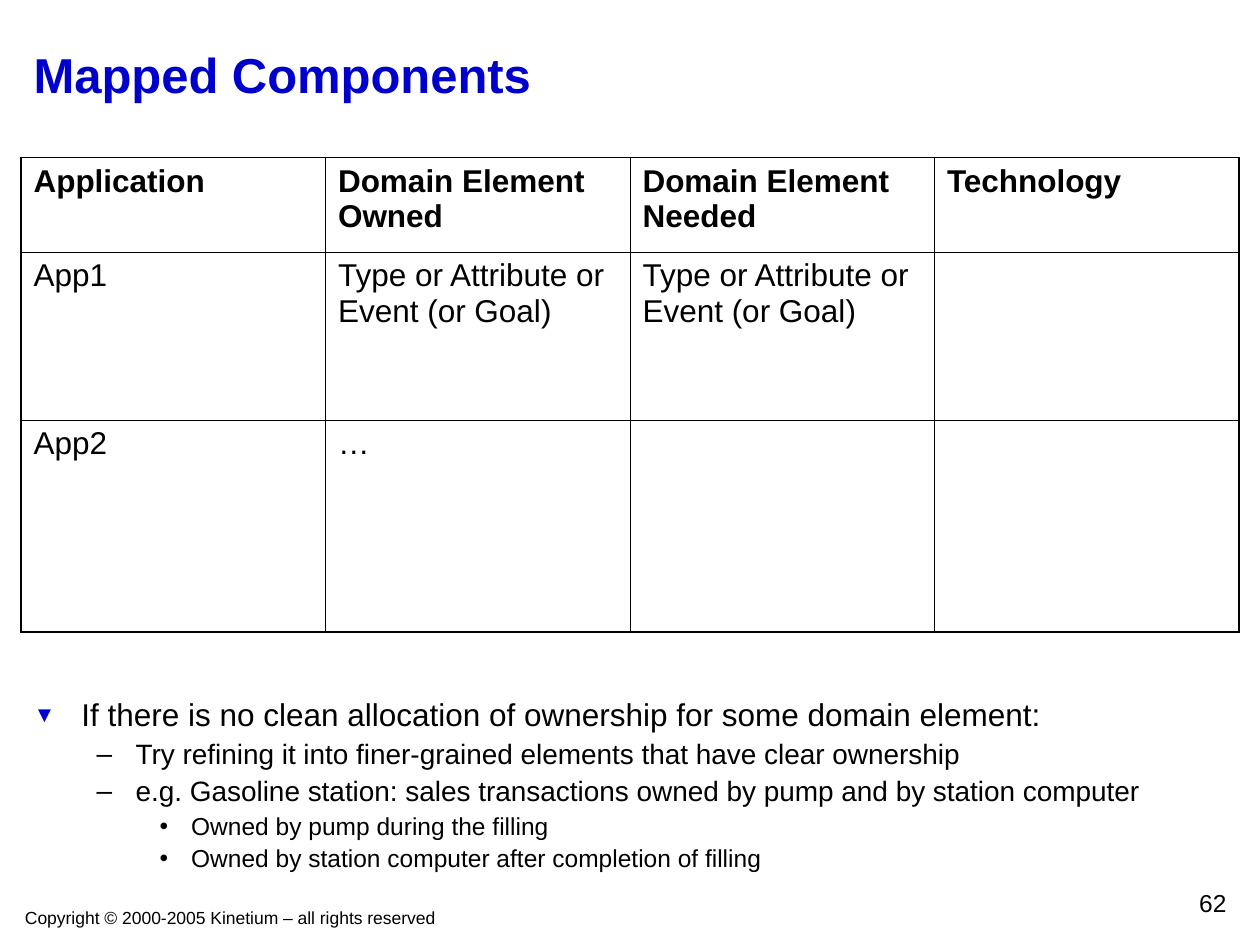
from dataclasses import dataclass

from lxml import etree
from pptx import Presentation
from pptx.dml.color import RGBColor
from pptx.enum.text import MSO_ANCHOR, MSO_AUTO_SIZE, PP_ALIGN
from pptx.oxml.ns import qn
from pptx.util import Inches, Pt

LEFT, RIGHT = PP_ALIGN.LEFT, PP_ALIGN.RIGHT
TOP, MIDDLE = MSO_ANCHOR.TOP, MSO_ANCHOR.MIDDLE
NO_AUTOFIT = MSO_AUTO_SIZE.NONE
TITLE_AND_CONTENT = 1


@dataclass(frozen=True)
class Theme:
    """Colours, type sizes and line widths of the deck."""
    font: str = "Arial"
    ink: str = "000000"
    accent: str = "0000CC"
    paper: str = "FFFFFF"
    title: float = 28
    table: float = 18
    number: float = 14
    footer: float = 10
    outer_line: float = 1.08
    inner_line: float = 0.45


@dataclass(frozen=True)
class Level:
    """Format of one outline level."""
    size: float
    margin: float
    hanging: float
    before: float
    mark: str
    mark_color: str
    mark_share: int = 100


THEME = Theme()
LEVELS = [
    Level(18, 0.38, 0.38, 4.5, "▼", THEME.accent, 70),
    Level(16, 0.81, 0.31, 4, "–", THEME.ink),
    Level(14, 1.25, 0.25, 3.5, "•", THEME.ink),
]


def write(paragraph, text, *, size, color=THEME.ink, bold=False, align=LEFT,
          before=0, spacing=1.0):
    """Put formatted text into a paragraph."""
    paragraph.alignment = align
    paragraph.space_before = Pt(before)
    paragraph.line_spacing = spacing
    run = paragraph.add_run()
    run.text = text
    font = run.font
    font.name, font.size, font.bold = THEME.font, Pt(size), bold
    font.color.rgb = RGBColor.from_string(color)


def add_color(parent, color):
    """Add a plain RGB colour element."""
    etree.SubElement(parent, qn("a:srgbClr"), val=color)


def add_bullet(paragraph, level):
    """Give a paragraph the hanging mark of its level."""
    props = paragraph._p.get_or_add_pPr()
    props.set("marL", str(Inches(level.margin)))
    props.set("indent", str(-Inches(level.hanging)))
    add_color(etree.SubElement(props, qn("a:buClr")), level.mark_color)
    etree.SubElement(props, qn("a:buSzPct"), val=str(level.mark_share * 1000))
    etree.SubElement(props, qn("a:buFont"), typeface=THEME.font)
    etree.SubElement(props, qn("a:buChar"), char=level.mark)


def add_border(cell, side, width):
    """Draw one side of a table cell."""
    line = etree.SubElement(cell._tc.get_or_add_tcPr(), qn(f"a:{side}"), w=str(Pt(width)))
    add_color(etree.SubElement(line, qn("a:solidFill")), THEME.ink)


class Deck:
    """Places elements on the current slide by a grid of 60 columns and 45 rows."""

    def __init__(self):
        self.deck = Presentation()
        self.deck.slide_width, self.deck.slide_height = Inches(10), Inches(7.5)
        self.column = self.deck.slide_width / 60
        self.row = self.deck.slide_height / 45
        self.slide = self.deck.slides.add_slide(self.deck.slide_layouts[TITLE_AND_CONTENT])

    def area(self, left, top, width, height):
        """Turn columns and rows into lengths."""
        return (round(left * self.column), round(top * self.row),
                round(width * self.column), round(height * self.row))

    def frame(self, shape, anchor=TOP):
        """Prepare a wrapping text frame."""
        frame = shape.text_frame
        frame.word_wrap, frame.auto_size = True, NO_AUTOFIT
        frame.vertical_anchor = anchor
        return frame

    def place(self, holder, area):
        """Move a placeholder to its grid area."""
        holder.left, holder.top, holder.width, holder.height = self.area(*area)

    def title(self, text, *area):
        """Fill the title placeholder."""
        heading = self.slide.shapes.title
        self.place(heading, area)
        write(self.frame(heading, MIDDLE).paragraphs[0], text,
              size=THEME.title, color=THEME.accent, bold=True)

    def outline(self, points, *area):
        """Fill the body placeholder with levelled points."""
        body = self.slide.placeholders[1]
        self.place(body, area)
        frame = self.frame(body)
        for index, (depth, text) in enumerate(points):
            point = frame.add_paragraph() if index else frame.paragraphs[0]
            level = LEVELS[depth]
            point.level = depth
            add_bullet(point, level)
            write(point, text, size=level.size, spacing=0.9,
                  before=level.before if index else 0)

    def label(self, text, *area, **style):
        """Add a one-line text box."""
        box = self.slide.shapes.add_textbox(*self.area(*area))
        write(self.frame(box).paragraphs[0], text, **style)

    def table(self, records, row_heights, left, top, width):
        """Add a ruled table with a bold header row."""
        count, span = len(records), len(records[0])
        area = self.area(left, top, width, sum(row_heights))
        grid = self.slide.shapes.add_table(count, span, *area).table
        grid.first_row = grid.horz_banding = False
        for line, height in zip(grid.rows, row_heights):
            line.height = round(height * self.row)
        for r, record in enumerate(records):
            for c, text in enumerate(record):
                cell = grid.cell(r, c)
                edges = {"lnL": c == 0, "lnR": c == span - 1,
                         "lnT": r == 0, "lnB": r == count - 1}
                for side, outer in edges.items():
                    add_border(cell, side, THEME.outer_line if outer else THEME.inner_line)
                cell.fill.solid()
                cell.fill.fore_color.rgb = RGBColor.from_string(THEME.paper)
                if text:
                    write(cell.text_frame.paragraphs[0], text,
                          size=THEME.table, bold=r == 0)


def main():
    """Build and save the slide."""
    deck = Deck()
    deck.label("Copyright © 2000-2005 Kinetium – all rights reserved",
               0.6, 42.9, 31.2, 1.6, size=THEME.footer)
    deck.title("Mapped Components", 1, 1, 58, 5)
    deck.outline([
        (0, "If there is no clean allocation of ownership for some domain element:"),
        (1, "Try refining it into finer-grained elements that have clear ownership"),
        (1, "e.g. Gasoline station: sales transactions owned by pump and by station computer"),
        (2, "Owned by pump during the filling"),
        (2, "Owned by station computer after completion of filling"),
    ], 1, 33, 58, 9.5)
    allocation = "Type or Attribute or Event (or Goal)"
    deck.table([
        ["Application", "Domain Element Owned", "Domain Element Needed", "Technology"],
        ["App1", allocation, allocation, ""],
        ["App2", "…", "", ""],
    ], [4.5, 8, 10.1], 1, 7.5, 58)
    deck.label("62", 46.5, 42, 12.5, 2, size=THEME.number, align=RIGHT)
    deck.deck.save("out.pptx")


if __name__ == "__main__":
    main()
